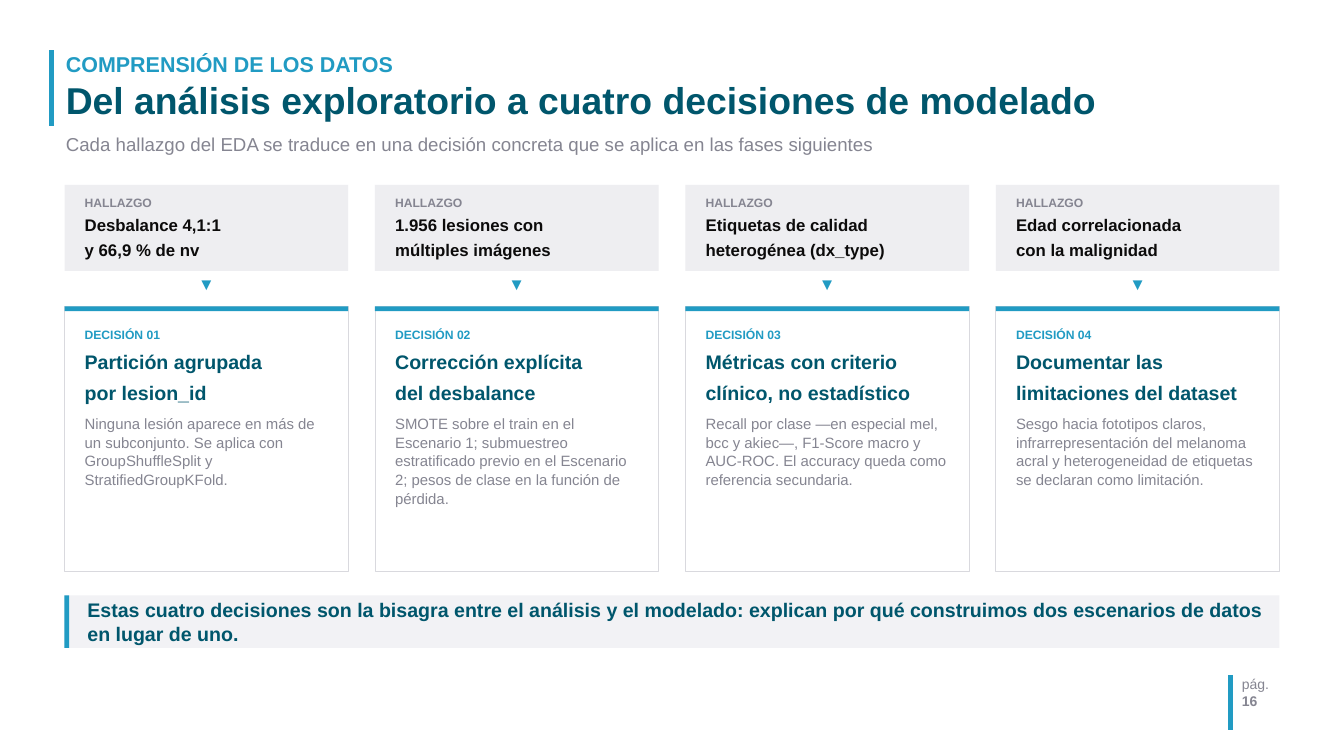
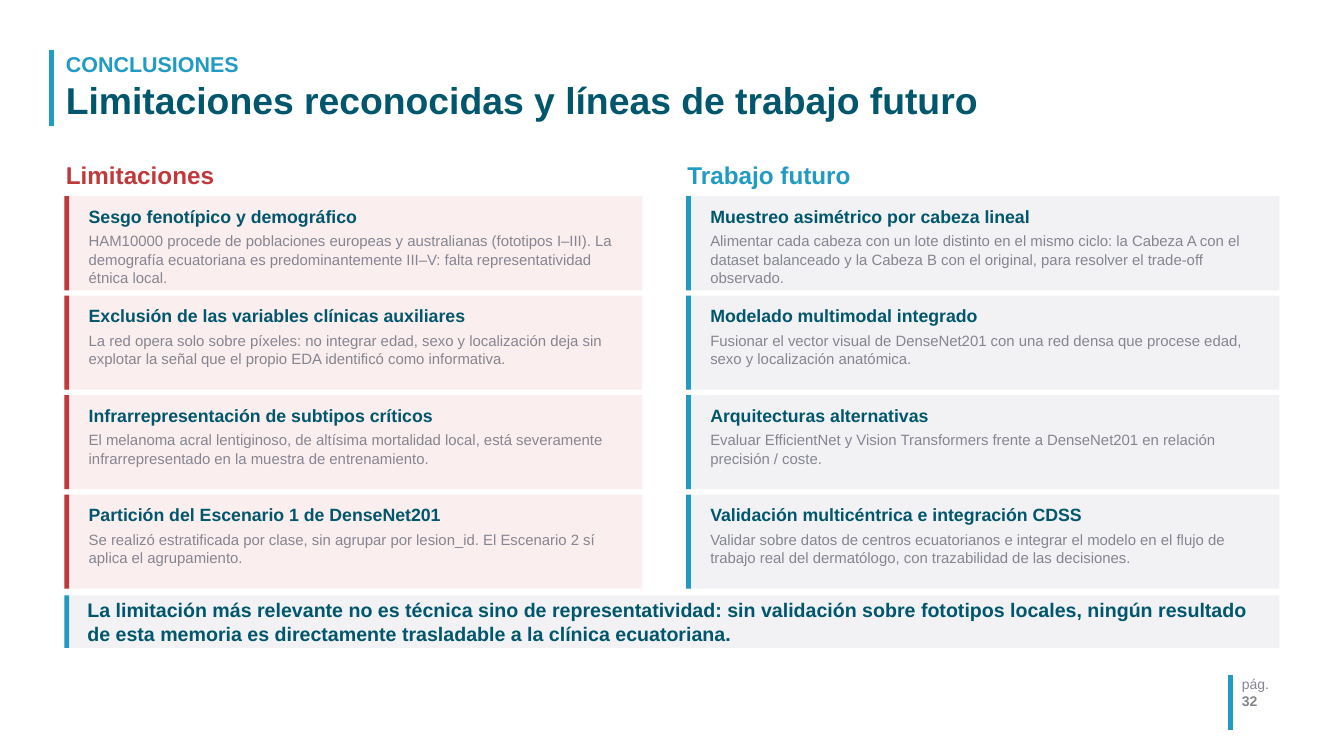
from lxml import etree
from pptx import Presentation
from pptx import util as u
from pptx.dml.color import RGBColor
from pptx.enum import shapes, text
from pptx.oxml.ns import qn

# Shared style: a grid of one-inch columns and rows
COLUMNS, ROWS = 20, 11.25
COLORS = {
    "accent": "219BC3", "title": "00566C", "muted": "858591", "ink": "0C0B0B",
    "warning": "C0393B", "warning_soft": "FBEEEE", "finding": "EEEEF1",
    "panel": "F2F2F5", "border": "D9D9DE", "white": "FFFFFF",
}
FONT = "Arial"
LEFT, CONTENT_WIDTH = 0.96, 18.08
BAR = 0.07


def rgb(name):
    return RGBColor.from_string(COLORS[name])


def write(frame, content, size=16, color="muted", bold=False, spacing=None,
          after=0, align=None):
    """Add one formatted paragraph to a text frame."""
    paragraph = frame.paragraphs[0]
    if paragraph.runs:
        paragraph = frame.add_paragraph()
    paragraph.alignment = align
    paragraph.line_spacing = spacing
    paragraph.space_after = u.Pt(after)
    run = paragraph.add_run()
    run.text = content
    run.font.name, run.font.size, run.font.bold = FONT, u.Pt(size), bold
    run.font.color.rgb = rgb(color)


class Deck:
    def __init__(self):
        self.presentation = Presentation()
        self.presentation.slide_width = u.Inches(COLUMNS)
        self.presentation.slide_height = u.Inches(ROWS)
        self.column = self.presentation.slide_width / COLUMNS
        self.row = self.presentation.slide_height / ROWS
        self.slide = None

    def place(self, left, top, width, height):
        return (round(left * self.column), round(top * self.row),
                round(width * self.column), round(height * self.row))

    def rectangle(self, left, top, width, height, fill, border=None):
        shape = self.slide.shapes.add_shape(
            shapes.MSO_SHAPE.RECTANGLE, *self.place(left, top, width, height))
        shape.shadow.inherit = False
        shape.fill.solid()
        shape.fill.fore_color.rgb = rgb(fill)
        if border:
            shape.line.color.rgb = rgb(border)
            shape.line.width = u.Pt(1)
        else:
            shape.line.fill.background()

    def vertical_line(self, left, top, bottom):
        line = self.slide.shapes.add_connector(
            shapes.MSO_CONNECTOR.STRAIGHT,
            *self.place(left, top, left, bottom))
        line.line.color.rgb = rgb("accent")
        line.line.width = u.Pt(5)
        etree.SubElement(line._element.spPr, qn("a:effectLst"))

    def text_box(self, left, top, width, height, middle=False):
        shape = self.slide.shapes.add_textbox(
            *self.place(left, top, width, height))
        frame = shape.text_frame
        frame.word_wrap = True
        frame.auto_size = text.MSO_AUTO_SIZE.SHAPE_TO_FIT_TEXT
        frame.margin_left = frame.margin_right = u.Inches(0.02)
        frame.margin_top = frame.margin_bottom = 0
        frame.vertical_anchor = (
            text.MSO_ANCHOR.MIDDLE if middle else text.MSO_ANCHOR.TOP)
        return frame

    def barred_panel(self, left, top, width, height, fill, bar):
        self.rectangle(left, top, width, height, fill)
        self.rectangle(left, top, BAR, height, bar)

    def start_slide(self, section, title, page):
        self.slide = self.presentation.slides.add_slide(
            self.presentation.slide_layouts[6])
        self.vertical_line(18.31, 10.05, 10.86)
        self.vertical_line(0.77, 0.75, 1.88)
        footer = self.text_box(18.46, 10.06, 1.3, 0.8)
        write(footer, "pág.", size=15)
        write(footer, page, size=15, bold=True)
        heading = self.text_box(LEFT, 0.7, 17.2, 1.22, middle=True)
        write(heading, section, size=23, color="accent", bold=True,
              spacing=0.92, after=5)
        write(heading, title, size=40, color="title", bold=True, spacing=0.92)

    def takeaway(self, message):
        top, height = 8.86, 0.78
        self.barred_panel(LEFT, top, CONTENT_WIDTH, height, "panel", "accent")
        frame = self.text_box(LEFT + 0.32, top, CONTENT_WIDTH - 0.5, height,
                              middle=True)
        write(frame, message, size=21, color="title", bold=True)

    def decision_column(self, left, width, number, finding, decision, detail):
        inset = 0.28
        inner_left, inner_width = left + inset, width - 2 * inset
        # Finding
        self.rectangle(left, 2.75, width, 1.28, "finding")
        frame = self.text_box(inner_left, 2.75, inner_width, 1.28, middle=True)
        write(frame, "HALLAZGO", size=13, bold=True, after=5)
        write(frame, finding, size=18, color="ink", bold=True)
        # Arrow to the decision
        write(self.text_box(left, 4.08, width, 0.42), "▼", size=18,
              color="accent", align=text.PP_ALIGN.CENTER)
        # Decision card
        self.rectangle(left, 4.56, width, 3.95, "white", border="border")
        self.rectangle(left, 4.56, width, BAR, "accent")
        frame = self.text_box(inner_left, 4.86, inner_width, 3.4)
        write(frame, f"DECISIÓN {number:02}", size=13, color="accent",
              bold=True, spacing=1.05, after=7)
        write(frame, decision, size=21, color="title", bold=True,
              spacing=1.05, after=10)
        write(frame, detail, spacing=1.05)

    def topic_list(self, left, width, text_width, heading, color, fill, topics):
        write(self.text_box(left, 2.38, width, 0.48), heading, size=26,
              color=color, bold=True)
        height, gap = 1.4, 0.08
        for index, (topic, detail) in enumerate(topics):
            top = 2.92 + index * (height + gap)
            self.barred_panel(left, top, width, height, fill, color)
            frame = self.text_box(left + 0.34, top + 0.13, text_width, 1.16)
            write(frame, topic, size=19, color="title", bold=True,
                  spacing=1.03, after=5)
            write(frame, detail, spacing=1.03)


DECISIONS = [
    ("Desbalance 4,1:1\ny 66,9 % de nv",
     "Partición agrupada\npor lesion_id",
     "Ninguna lesión aparece en más de un subconjunto. Se aplica con "
     "GroupShuffleSplit y StratifiedGroupKFold."),
    ("1.956 lesiones con\nmúltiples imágenes",
     "Corrección explícita\ndel desbalance",
     "SMOTE sobre el train en el Escenario 1; submuestreo estratificado previo "
     "en el Escenario 2; pesos de clase en la función de pérdida."),
    ("Etiquetas de calidad\nheterogénea (dx_type)",
     "Métricas con criterio\nclínico, no estadístico",
     "Recall por clase —en especial mel, bcc y akiec—, F1-Score macro y "
     "AUC-ROC. El accuracy queda como referencia secundaria."),
    ("Edad correlacionada\ncon la malignidad",
     "Documentar las\nlimitaciones del dataset",
     "Sesgo hacia fototipos claros, infrarrepresentación del melanoma acral y "
     "heterogeneidad de etiquetas se declaran como limitación."),
]

LIMITATIONS = [
    ("Sesgo fenotípico y demográfico",
     "HAM10000 procede de poblaciones europeas y australianas (fototipos "
     "I–III). La demografía ecuatoriana es predominantemente III–V: falta "
     "representatividad étnica local."),
    ("Exclusión de las variables clínicas auxiliares",
     "La red opera solo sobre píxeles: no integrar edad, sexo y localización "
     "deja sin explotar la señal que el propio EDA identificó como informativa."),
    ("Infrarrepresentación de subtipos críticos",
     "El melanoma acral lentiginoso, de altísima mortalidad local, está "
     "severamente infrarrepresentado en la muestra de entrenamiento."),
    ("Partición del Escenario 1 de DenseNet201",
     "Se realizó estratificada por clase, sin agrupar por lesion_id. El "
     "Escenario 2 sí aplica el agrupamiento."),
]

FUTURE_WORK = [
    ("Muestreo asimétrico por cabeza lineal",
     "Alimentar cada cabeza con un lote distinto en el mismo ciclo: la Cabeza A "
     "con el dataset balanceado y la Cabeza B con el original, para resolver "
     "el trade-off observado."),
    ("Modelado multimodal integrado",
     "Fusionar el vector visual de DenseNet201 con una red densa que procese "
     "edad, sexo y localización anatómica."),
    ("Arquitecturas alternativas",
     "Evaluar EfficientNet y Vision Transformers frente a DenseNet201 en "
     "relación precisión / coste."),
    ("Validación multicéntrica e integración CDSS",
     "Validar sobre datos de centros ecuatorianos e integrar el modelo en el "
     "flujo de trabajo real del dermatólogo, con trazabilidad de las "
     "decisiones."),
]


def decisions_slide(deck):
    deck.start_slide("COMPRENSIÓN DE LOS DATOS",
                     "Del análisis exploratorio a cuatro decisiones de modelado",
                     "16")
    write(deck.text_box(LEFT, 1.98, 17.2, 0.42),
          "Cada hallazgo del EDA se traduce en una decisión concreta que se "
          "aplica en las fases siguientes", size=20)
    gap = 0.4
    width = (CONTENT_WIDTH + gap) / len(DECISIONS) - gap
    for index, decision in enumerate(DECISIONS):
        deck.decision_column(LEFT + index * (width + gap), width, index + 1,
                             *decision)
    deck.takeaway("Estas cuatro decisiones son la bisagra entre el análisis y "
                  "el modelado: explican por qué construimos dos escenarios de "
                  "datos en lugar de uno.")


def conclusions_slide(deck):
    deck.start_slide("CONCLUSIONES",
                     "Limitaciones reconocidas y líneas de trabajo futuro", "32")
    deck.topic_list(LEFT, 8.6, 8, "Limitaciones", "warning", "warning_soft",
                    LIMITATIONS)
    deck.topic_list(10.21, 8.83, 8.23, "Trabajo futuro", "accent", "panel",
                    FUTURE_WORK)
    deck.takeaway("La limitación más relevante no es técnica sino de "
                  "representatividad: sin validación sobre fototipos locales, "
                  "ningún resultado de esta memoria es directamente trasladable "
                  "a la clínica ecuatoriana.")


def main():
    deck = Deck()
    decisions_slide(deck)
    conclusions_slide(deck)
    deck.presentation.save("out.pptx")


if __name__ == "__main__":
    main()
